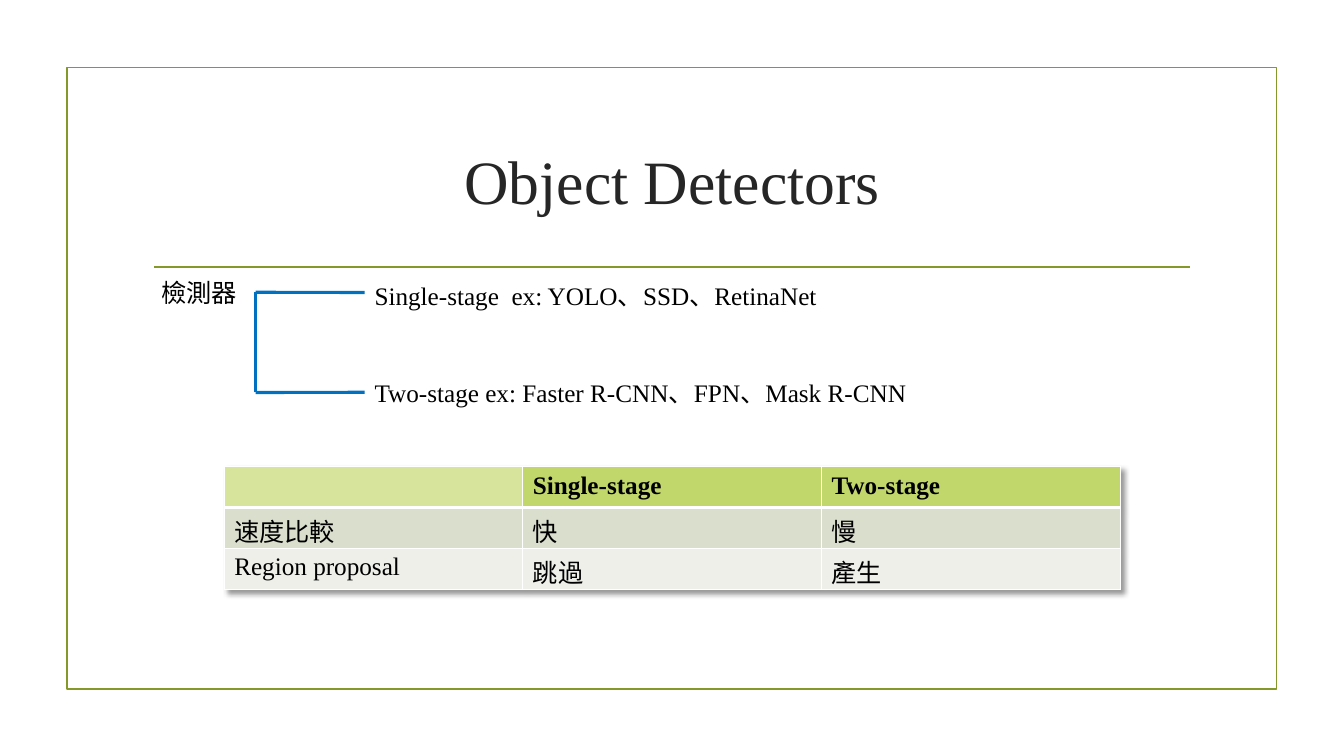
import dataclasses

import lxml.etree
import pptx
import pptx.dml.color
import pptx.enum.shapes
import pptx.enum.text
import pptx.oxml
import pptx.oxml.ns
import pptx.util

Cm = pptx.util.Cm
Pt = pptx.util.Pt
Align = pptx.enum.text.PP_ALIGN
Anchor = pptx.enum.text.MSO_ANCHOR
Shape = pptx.enum.shapes.MSO_SHAPE
Line = pptx.enum.shapes.MSO_CONNECTOR
qn = pptx.oxml.ns.qn
NS = pptx.oxml.ns.nsdecls("a")


@dataclasses.dataclass(frozen=True)
class Theme:
    font: str = "Times New Roman"
    head: int = 44
    body: int = 18
    ink: str = "000000"
    title: str = "262626"
    green: str = "83992A"
    blue: str = "0070C0"
    edge: str = "FFFFFF"
    thin: float = 1.25
    thick: float = 2.25
    corner: str = "D6E49C"
    top: str = "C1D66B"
    bands: tuple = ("D9DECD", "EDEFE8")


def color(code):
    return pptx.dml.color.RGBColor.from_string(code)


def apply(item, form):
    for name, value in form.items():
        setattr(item, name, value)


class Page:
    def __init__(self, slide, theme):
        self.slide = slide
        self.theme = theme

    def label(self, frame, text, size, ink, align=Align.LEFT, bold=False):
        para = frame.paragraphs[0]
        para.alignment = align
        run = para.add_run()
        run.text = text
        apply(run.font, {"name": self.theme.font, "size": Pt(size), "bold": bold})
        run.font.color.rgb = color(ink)

    def stroke(self, line, code, width):
        line.color.rgb = color(code)
        line.width = Pt(width)

    def frame(self, *box):
        rect = self.slide.shapes.add_shape(Shape.RECTANGLE, *map(Cm, box))
        rect.shadow.inherit = False
        rect.fill.background()
        self.stroke(rect.line, self.theme.green, self.theme.thin)

    def line(self, start, end, code, width):
        link = self.slide.shapes.add_connector(Line.STRAIGHT, *map(Cm, start + end))
        self.stroke(link.line, code, width)
        lxml.etree.SubElement(link._element.spPr, qn("a:effectLst"))
        return link

    def title(self, text, *box):
        shape = self.slide.shapes.title
        apply(shape, dict(zip(("left", "top", "width", "height"), map(Cm, box))))
        shape.text_frame.vertical_anchor = Anchor.MIDDLE
        self.label(shape.text_frame, text, self.theme.head, self.theme.title, Align.CENTER)

    def text(self, text, *box, align=Align.LEFT):
        shape = self.slide.shapes.add_textbox(*map(Cm, box))
        apply(shape.text_frame, {"word_wrap": True, "vertical_anchor": Anchor.MIDDLE})
        self.label(shape.text_frame, text, self.theme.body, self.theme.ink, align)
        return shape

    def border(self, cell, base):
        """Edge a cell in white, with the bottom edge base points wide."""
        props = cell._tc.get_or_add_tcPr()
        sides = {"lnL": 1, "lnR": 1, "lnT": 1, "lnB": base}
        for spot, (side, width) in enumerate(sides.items()):
            props.insert(spot, pptx.oxml.parse_xml(
                f'<a:{side} {NS} w="{Pt(width)}"><a:solidFill>'
                f'<a:srgbClr val="{self.theme.edge}"/></a:solidFill></a:{side}>'))

    def table(self, rows, *box):
        theme = self.theme
        grid = self.slide.shapes.add_table(len(rows), len(rows[0]), *map(Cm, box)).table
        grid._tbl.tblPr.insert(0, pptx.oxml.parse_xml(
            f'<a:effectLst {NS}><a:outerShdw blurRad="50800" dist="38100" dir="2700000" '
            f'algn="tl" rotWithShape="0"><a:srgbClr val="{theme.ink}"><a:alpha val="40000"/>'
            '</a:srgbClr></a:outerShdw></a:effectLst>'))
        for r, row in enumerate(rows):
            for c, text in enumerate(row):
                cell = grid.cell(r, c)
                head = r == 0
                fill = theme.bands[r - 1] if r else theme.top if c else theme.corner
                cell.fill.solid()
                cell.fill.fore_color.rgb = color(fill)
                self.border(cell, 3 if head else 1)
                if text:
                    self.label(cell.text_frame, text, theme.body, theme.ink, bold=head)

    def fork(self, root, lower):
        """Draw the bracket from the root text to its two branches."""
        left, right = 6.44, 9.19
        high, low = 7.37, 9.89
        blue = self.theme.blue, self.theme.thick
        arm = self.line((left, high), (right, high), *blue)
        arm.begin_connect(root, 3)
        self.line((left, low), (left, high), *blue)
        arm = self.line((left, low), (right, low), *blue)
        arm.end_connect(lower, 1)


def main():
    deck = pptx.Presentation()
    apply(deck, {"slide_width": Cm(33.87), "slide_height": Cm(19.05)})
    theme = Theme()
    page = Page(deck.slides.add_slide(deck.slide_layouts[5]), theme)
    page.frame(1.69, 1.7, 30.48, 15.67)
    page.line((3.89, 6.73), (30, 6.73), theme.green, theme.thin)
    page.title("Object Detectors", 3.61, 2.72, 26.67, 3.63)
    root = page.text("檢測器", 3.61, 6.5, 2.83, 1.73, align=Align.CENTER)
    page.text("Single-stage  ex: YOLO、SSD、RetinaNet", 9.19, 6.58, 15.67, 1.73)
    lower = page.text("Two-stage ex: Faster R-CNN、FPN、Mask R-CNN", 9.19, 9.02, 14.33, 1.73)
    page.fork(root, lower)
    page.table([
        ["", "Single-stage", "Two-stage"],
        ["速度比較", "快", "慢"],
        ["Region proposal", "跳過", "產生"],
    ], 5.65, 11.76, 22.58, 3.09)
    deck.save("out.pptx")


if __name__ == "__main__":
    main()
